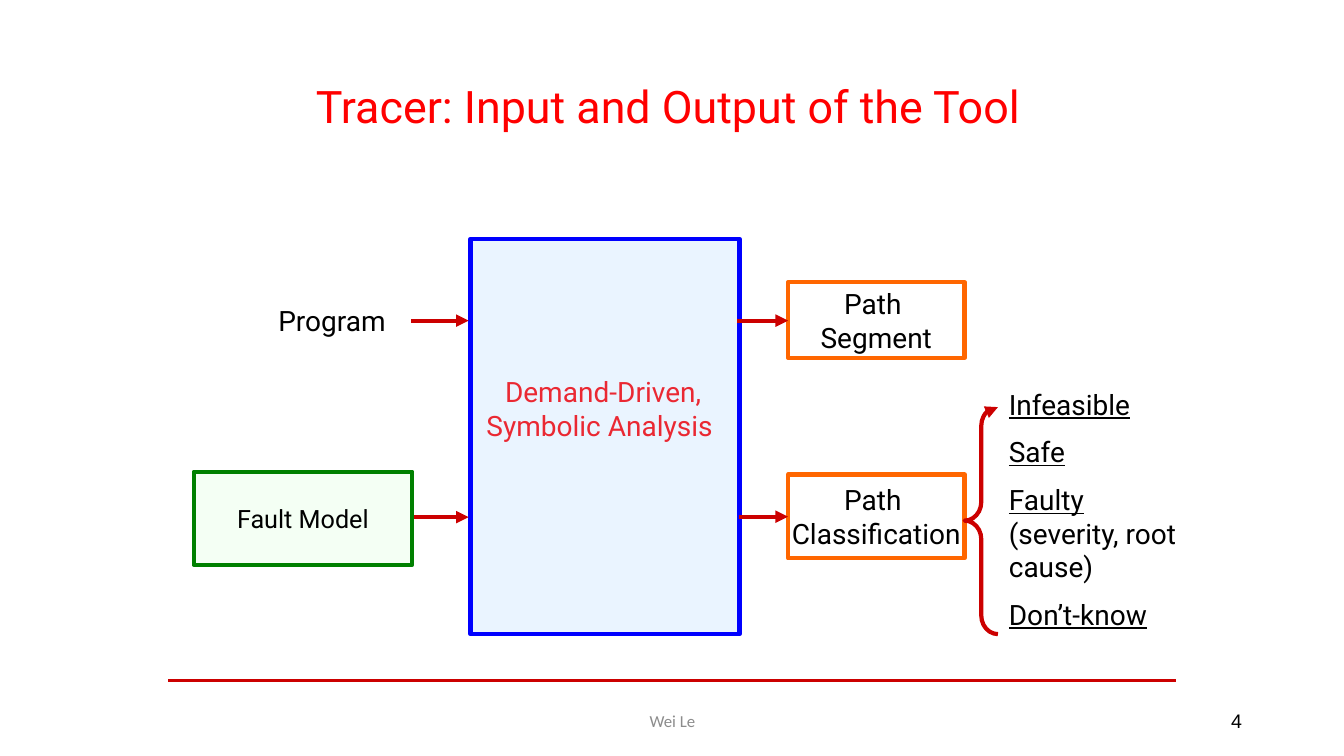
import dataclasses

import pptx
import pptx.dml.color
import pptx.enum.shapes
import pptx.enum.text
import pptx.oxml
import pptx.oxml.ns
import pptx.util

Cm = pptx.util.Cm
Pt = pptx.util.Pt
Align = pptx.enum.text.PP_ALIGN
Anchor = pptx.enum.text.MSO_ANCHOR
Preset = pptx.enum.shapes.MSO_SHAPE


@dataclasses.dataclass(frozen=True)
class Theme:
    """Colours, fonts and type sizes of the slide."""
    red: str = "FF0000"
    dark_red: str = "CC0000"
    black: str = "000000"
    white: str = "FFFFFF"
    grey: str = "8C8C8C"
    blue: str = "0000FF"
    pale_blue: str = "99CCFF"
    green: str = "008000"
    pale_green: str = "CCFFCC"
    orange: str = "FF6600"
    font: str = "Roboto"
    footer_font: str = "Calibri"
    number_font: str = "Arial"
    title_size: int = 32
    body_size: int = 20
    small_size: int = 18
    number_size: int = 14
    footer_size: int = 12
    thick: int = 3
    medium: int = 2
    thin: int = 1


THEME = Theme()


def colour(value):
    """Turn a hex string into a colour."""
    return pptx.dml.color.RGBColor.from_string(value)


def place(shape, box):
    """Move and size a shape to left, top, width, height in cm."""
    shape.left, shape.top, shape.width, shape.height = map(Cm, box)


def append_xml(parent, tag, attributes=""):
    """Append an empty DrawingML element to a parent."""
    namespace = pptx.oxml.ns.nsdecls("a")
    parent.append(pptx.oxml.parse_xml(f"<a:{tag} {namespace} {attributes}/>"))


def format_text(text_frame, size=THEME.body_size, text_colour=THEME.black,
                font=THEME.font, align=Align.CENTER, anchor=Anchor.MIDDLE):
    """Style every run of a text frame."""
    text_frame.vertical_anchor = anchor
    for paragraph in text_frame.paragraphs:
        paragraph.alignment = align
        for run in paragraph.runs:
            run.font.size = Pt(size)
            run.font.name = font
            run.font.color.rgb = colour(text_colour)


def add_text(slide, box, text, **style):
    """Add a wrapping text box."""
    shape = slide.shapes.add_textbox(*map(Cm, box))
    shape.text_frame.word_wrap = True
    shape.text_frame.text = text
    format_text(shape.text_frame, **style)


def style_line(line, line_colour, width, arrow=False):
    """Colour a line and optionally end it with an arrowhead."""
    line.color.rgb = colour(line_colour)
    line.width = Pt(width)
    if arrow:
        append_xml(line._get_or_add_ln(), "tailEnd", 'type="triangle"')


def add_box(slide, box, line_colour, text="", fill=THEME.white, opacity=100,
            width=THEME.thick, size=THEME.body_size):
    """Add a bordered rectangle with an optional label."""
    shape = slide.shapes.add_shape(Preset.RECTANGLE, *map(Cm, box))
    shape.shadow.inherit = False
    shape.fill.solid()
    shape.fill.fore_color.rgb = colour(fill)
    if opacity < 100:
        solid_fill = shape._element.spPr.find(pptx.oxml.ns.qn("a:solidFill"))
        append_xml(solid_fill[0], "alpha", f'val="{opacity * 1000}"')
    style_line(shape.line, line_colour, width)
    if text:
        shape.text_frame.word_wrap = False
        shape.text_frame.text = text
        format_text(shape.text_frame, size=size)


def add_line(slide, left, right, top, width=THEME.thick, arrow=True):
    """Add a horizontal line from left to right."""
    connector = slide.shapes.add_connector(
        pptx.enum.shapes.MSO_CONNECTOR.STRAIGHT,
        Cm(left), Cm(top), Cm(right), Cm(top))
    style_line(connector.line, THEME.dark_red, width, arrow)
    append_xml(connector._element.spPr, "effectLst")


def add_brace(slide, box):
    """Add the brace that opens the list of outcomes."""
    brace = slide.shapes.add_shape(Preset.LEFT_BRACE, *map(Cm, box))
    brace.adjustments[0] = 0.56
    brace.shadow.inherit = False
    brace.fill.background()
    style_line(brace.line, THEME.dark_red, THEME.thick, arrow=True)


def fill_title(slide, box, text):
    """Write the slide title."""
    title = slide.shapes.title
    place(title, box)
    title.text_frame.text = text
    format_text(title.text_frame, THEME.title_size, THEME.red)


def fill_outcomes(slide, box, outcomes):
    """List underlined outcomes, each with an optional plain remark."""
    body = slide.placeholders[1]
    place(body, box)
    text_frame = body.text_frame
    text_frame.auto_size = pptx.enum.text.MSO_AUTO_SIZE.NONE
    text_frame.text = "\n".join(name for name, remark in outcomes)
    for paragraph, (name, remark) in zip(text_frame.paragraphs, outcomes):
        paragraph.space_before = Pt(THEME.body_size / 2)
        properties = paragraph._p.get_or_add_pPr()
        properties.set("marL", "0")
        properties.set("indent", "0")
        append_xml(properties, "buNone")
        paragraph.runs[0].font.underline = True
        if remark:
            paragraph.add_run().text = remark
    format_text(text_frame, align=Align.LEFT, anchor=Anchor.TOP)


def main():
    """Build the slide and save it."""
    presentation = pptx.Presentation()
    presentation.slide_width = Cm(33.87)
    presentation.slide_height = Cm(19.05)
    slide = presentation.slides.add_slide(presentation.slide_layouts[1])

    fill_title(slide, (4.24, 1.07, 25.2, 3.18),
               "Tracer: Input and Output of the Tool")
    fill_outcomes(slide, (25.17, 9.63, 4.88, 6.65), [
        ("Infeasible", ""), ("Safe", ""),
        ("Faulty ", "(severity, root cause)"), ("Don’t-know", "")])

    # The translucent analysis box lies over its label.
    add_text(slide, (11.81, 9.32, 6.78, 1.96),
             "Demand-Driven, Symbolic Analysis ",
             text_colour=THEME.red, anchor=Anchor.TOP)
    add_box(slide, (11.86, 6.02, 6.78, 9.96), THEME.blue,
            fill=THEME.pale_blue, opacity=20)

    add_box(slide, (7.52, 7.65, 1.7, 0.84), THEME.white, "Program",
            width=THEME.thin)
    add_box(slide, (4.88, 11.89, 5.51, 2.34), THEME.green, "Fault Model",
            fill=THEME.pale_green, opacity=20, size=THEME.small_size)
    add_box(slide, (19.86, 7.11, 4.45, 1.91), THEME.orange, "Path \nSegment")
    add_box(slide, (19.86, 11.96, 4.45, 2.11), THEME.orange,
            "Path \nClassification")

    for left, right, top in [(10.36, 11.81, 8.08), (10.44, 11.81, 13.03),
                             (18.57, 19.86, 8.08), (18.62, 19.86, 13.02)]:
        add_line(slide, left, right, top)
    add_brace(slide, (24.31, 10.26, 0.84, 5.72))

    add_line(slide, 4.24, 29.64, 17.15, THEME.medium, arrow=False)
    add_text(slide, (11.23, 17.65, 11.43, 1.02), "Wei Le",
             size=THEME.footer_size, text_colour=THEME.grey,
             font=THEME.footer_font)
    add_text(slide, (23.93, 17.65, 7.62, 1.02), "4", size=THEME.number_size,
             font=THEME.number_font, align=Align.RIGHT)
    presentation.save("out.pptx")


main()
